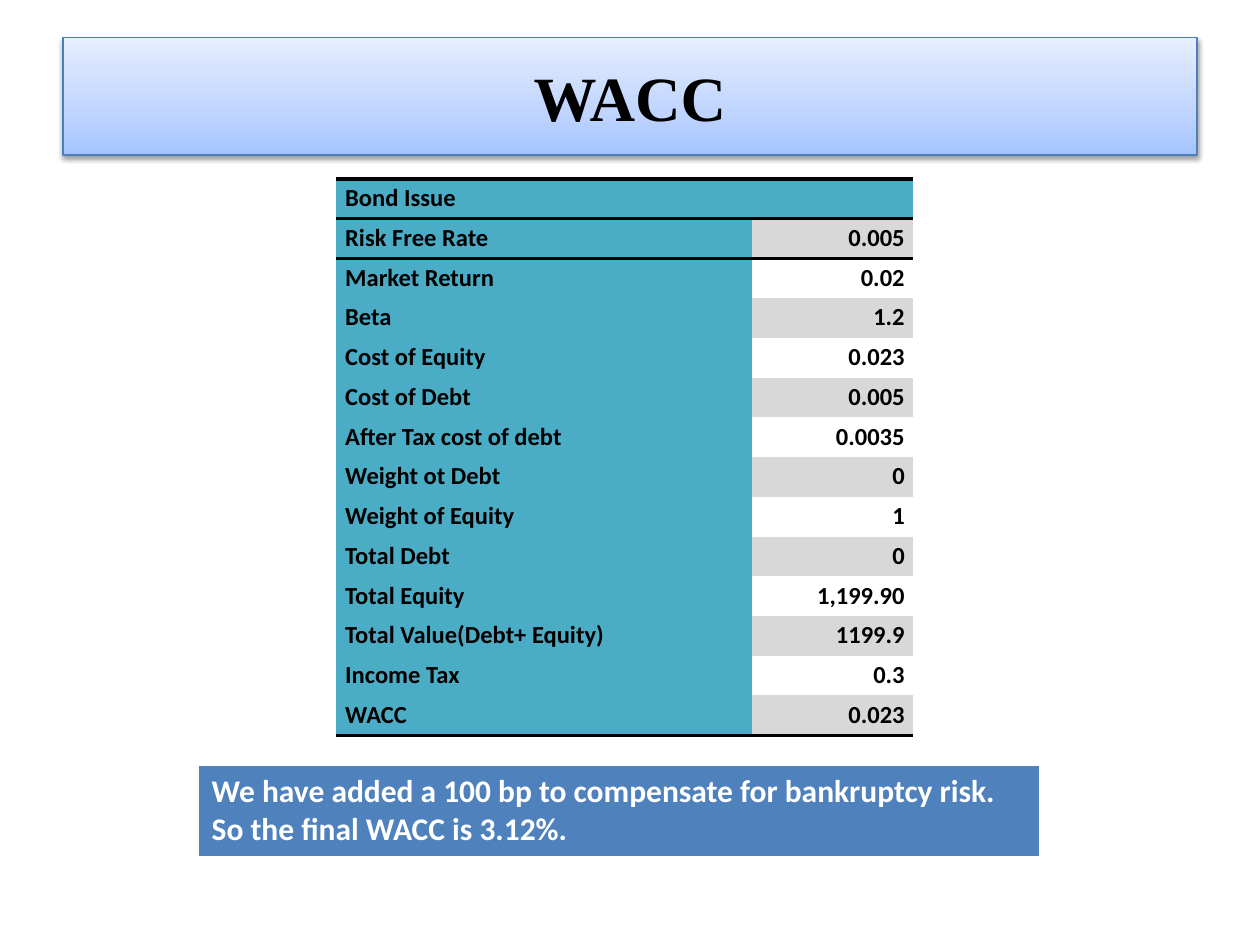
from dataclasses import dataclass

from lxml import etree
from pptx import Presentation
from pptx.dml.color import RGBColor
from pptx.enum.text import MSO_ANCHOR, PP_ALIGN
from pptx.oxml import parse_xml
from pptx.oxml.ns import qn
from pptx.util import Inches, Pt

LEFT, CENTER, RIGHT = PP_ALIGN.LEFT, PP_ALIGN.CENTER, PP_ALIGN.RIGHT
MIDDLE = MSO_ANCHOR.MIDDLE
TITLE_ONLY = 5
NO_TABLE_STYLE = "{2D5ABB26-0587-4C30-8999-92F81FD0307C}"
DRAWING_NAMESPACE = "http://schemas.openxmlformats.org/drawingml/2006/main"


@dataclass(frozen=True)
class Theme:
    title_font: str = "Times New Roman"
    body_font: str = "Calibri"
    title_size: float = 36
    table_size: float = 14
    note_size: float = 18
    rule_width: float = 2.25
    ink: str = "000000"
    paper: str = "FFFFFF"
    label_fill: str = "4BACC6"
    band_fill: str = "D8D8D8"
    note_fill: str = "4F81BD"
    title_line: str = "4B7EBC"
    title_gradient: tuple = ((0, "A4C4FF"), (35, "BFD4FF"), (100, "E6EEFF"))


THEME = Theme()
SLIDE_WIDTH, SLIDE_HEIGHT = Inches(10), Inches(7.5)

TITLE = "WACC"
ROWS = [
    ("Bond Issue", ""),
    ("Risk Free Rate", "0.005"),
    ("Market Return", "0.02"),
    ("Beta", "1.2"),
    ("Cost of Equity", "0.023"),
    ("Cost of Debt", "0.005"),
    ("After Tax cost of debt", "0.0035"),
    ("Weight ot Debt", "0"),
    ("Weight of Equity", "1"),
    ("Total Debt", "0"),
    ("Total Equity", "1,199.90"),
    ("Total Value(Debt+ Equity)", "1199.9"),
    ("Income Tax", "0.3"),
    ("WACC", "0.023"),
]
NOTE = (
    "We have added a 100 bp to compensate for bankruptcy risk. "
    "So the final WACC is 3.12%."
)


def write(text_frame, text, font_name, size, color, alignment=LEFT):
    text_frame.text = text
    paragraph = text_frame.paragraphs[0]
    paragraph.alignment = alignment
    for run in paragraph.runs:
        run.font.name = font_name
        run.font.size = Pt(size)
        run.font.bold = True
        run.font.color.rgb = RGBColor.from_string(color)
    return paragraph


def fill_cell(cell, color):
    if color:
        cell.fill.solid()
        cell.fill.fore_color.rgb = RGBColor.from_string(color)
    else:
        cell.fill.background()


def rule_cell(cell, sides):
    properties = cell._tc.get_or_add_tcPr()
    for position, side in enumerate(sides):
        line = etree.Element(qn(f"a:ln{side}"), w=str(Pt(THEME.rule_width)))
        fill = etree.SubElement(line, qn("a:solidFill"))
        etree.SubElement(fill, qn("a:srgbClr"), val=THEME.ink)
        properties.insert(position, line)


def add_plain_table(slide, box, row_count, column_shares):
    left, top, width, height = box
    frame = slide.shapes.add_table(
        row_count, len(column_shares), left, top, width, height
    )
    table = frame.table
    table.first_row = table.horz_banding = False
    table._tbl.tblPr.find(qn("a:tableStyleId")).text = NO_TABLE_STYLE
    for column, share in zip(table.columns, column_shares):
        column.width = int(width * share)
    for row in table.rows:
        row.height = int(height / row_count)
    return table


def place_title(slide, box):
    title = slide.shapes.title
    title.left, title.top, title.width, title.height = box
    title.text_frame.vertical_anchor = MIDDLE
    write(title.text_frame, TITLE, THEME.title_font, THEME.title_size,
          THEME.ink, CENTER)
    stops = "".join(
        f'<a:gs pos="{position * 1000}"><a:srgbClr val="{color}"/></a:gs>'
        for position, color in THEME.title_gradient
    )
    gradient = parse_xml(
        f'<a:gradFill xmlns:a="{DRAWING_NAMESPACE}" rotWithShape="1">'
        f'<a:gsLst>{stops}</a:gsLst><a:lin ang="16200000" scaled="0"/></a:gradFill>'
    )
    shadow = parse_xml(
        f'<a:effectLst xmlns:a="{DRAWING_NAMESPACE}">'
        f'<a:outerShdw blurRad="{Pt(3.1)}" dist="{Pt(1.6)}" dir="5400000" '
        f'rotWithShape="0"><a:srgbClr val="{THEME.ink}"><a:alpha val="38000"/>'
        f'</a:srgbClr></a:outerShdw></a:effectLst>'
    )
    title.line.color.rgb = RGBColor.from_string(THEME.title_line)
    title.line.width = Pt(0.75)
    title._element.spPr.find(qn("a:ln")).addprevious(gradient)
    title._element.spPr.append(shadow)


def place_wacc_table(slide, box):
    table = add_plain_table(slide, box, len(ROWS), (0.72, 0.28))
    last = len(ROWS) - 1
    rules = {0: "TB", 1: "T", last: "B"}
    for row_index, values in enumerate(ROWS):
        band = THEME.band_fill if row_index % 2 else None
        value_fill = band if row_index else THEME.label_fill
        styles = ((LEFT, THEME.label_fill), (RIGHT, value_fill))
        for column_index, (text, (alignment, fill)) in enumerate(zip(values, styles)):
            cell = table.cell(row_index, column_index)
            cell.margin_left = cell.margin_right = Inches(0.07)
            cell.margin_top = cell.margin_bottom = 0
            paragraph = write(cell.text_frame, text, THEME.body_font,
                              THEME.table_size, THEME.ink, alignment)
            if text:
                paragraph.line_spacing = 1.15
            fill_cell(cell, fill)
            rule_cell(cell, rules.get(row_index, ""))


def place_note(slide, box):
    cell = add_plain_table(slide, box, 1, (1,)).cell(0, 0)
    write(cell.text_frame, NOTE, THEME.body_font, THEME.note_size, THEME.paper)
    fill_cell(cell, THEME.note_fill)


def main():
    presentation = Presentation()
    presentation.slide_width, presentation.slide_height = SLIDE_WIDTH, SLIDE_HEIGHT
    slide = presentation.slides.add_slide(presentation.slide_layouts[TITLE_ONLY])
    place_title(slide, (Inches(0.5), Inches(0.3), Inches(9), Inches(0.93)))
    place_wacc_table(slide, (Inches(2.67), Inches(1.42), Inches(4.58), Inches(4.42)))
    place_note(slide, (Inches(1.58), Inches(6.08), Inches(6.67), Inches(0.7)))
    presentation.save("out.pptx")


if __name__ == "__main__":
    main()
